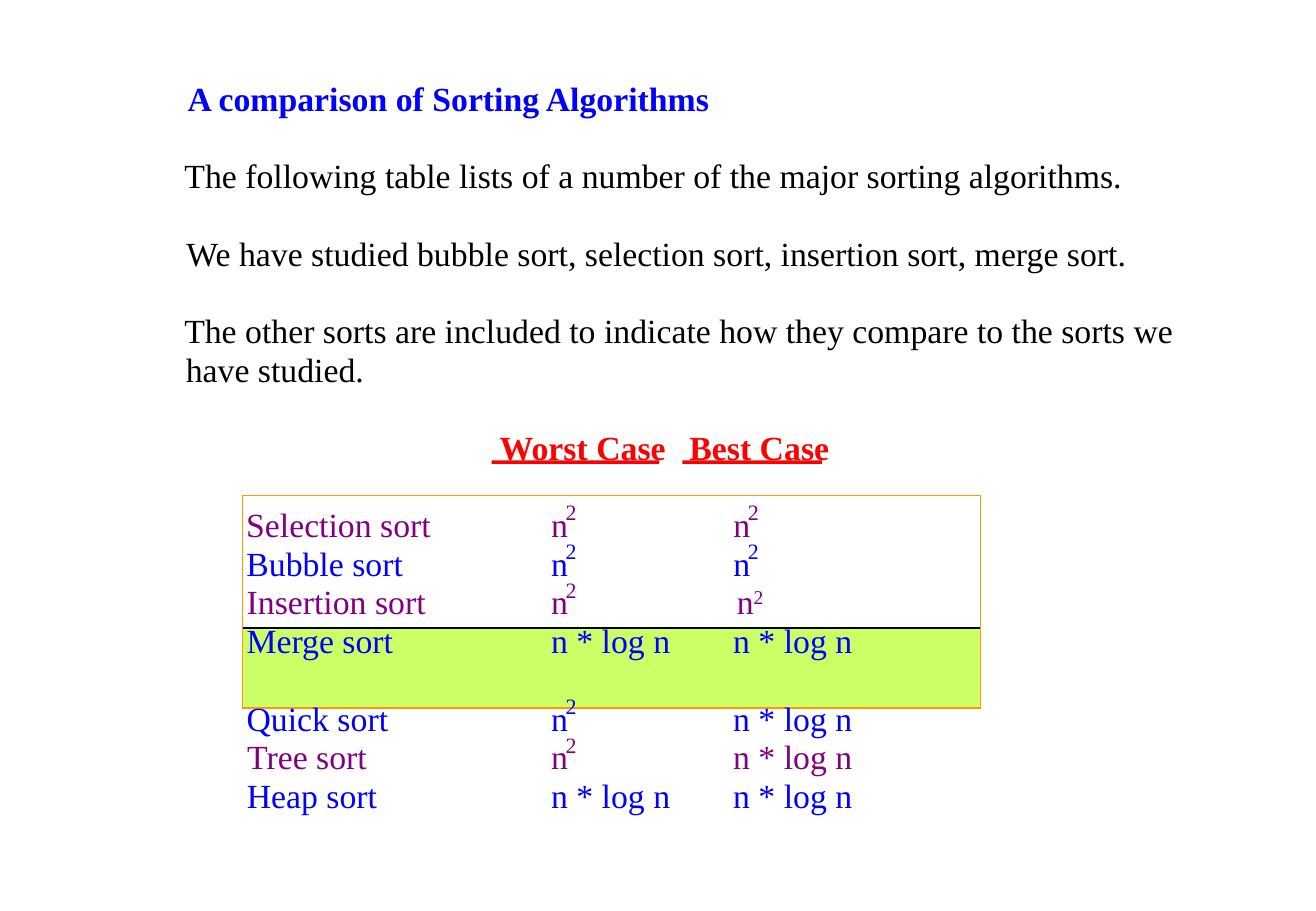
from pptx import Presentation
from pptx.dml.color import RGBColor
from pptx.enum.shapes import MSO_SHAPE
from pptx.enum.text import MSO_AUTO_SIZE, PP_ALIGN
from pptx.util import Inches, Pt

BLUE = RGBColor(0x00, 0x00, 0xFF)
PURPLE = RGBColor(0x80, 0x00, 0x80)
RED = RGBColor(0xFF, 0x00, 0x00)
BLACK = RGBColor(0x00, 0x00, 0x00)
ORANGE = RGBColor(0xFF, 0x99, 0x00)
LIME = RGBColor(0xCC, 0xFF, 0x66)

# Grid in inches: text lines share one pitch, the comparison has three columns
FIRST_LINE = 0.64
PITCH = (6.38 - FIRST_LINE) / 18
LINE_HEIGHT = 0.33
SIDE_ROOM = 0.02  # spare width on each side keeps a label on one line
INTRO_LEFT = 1.52
NAME_LEFT, WORST_LEFT, BEST_LEFT = 2.03, 4.54, 6.04
FRAME_LEFT, FRAME_WIDTH = 2, 6.08

LOG = "n * log n"
SQUARE = "n"
SQUARE_INLINE = "n²"
EXPONENT_SHIFT, EXPONENT_RISE = 0.12, 0.04
INLINE_SHIFT = 0.03

# line, left, width, text, colour, bold
INTRO = [
    (0, INTRO_LEFT + 0.01, 4.33, "A comparison of Sorting Algorithms", BLUE, True),
    (2, INTRO_LEFT, 7.73,
     "The following table lists of a number of the major sorting algorithms.", BLACK, False),
    (4, INTRO_LEFT, 7.78,
     "We have studied bubble sort, selection sort, insertion sort, merge sort.", BLACK, False),
    (6, INTRO_LEFT, 8.22,
     "The other sorts are included to indicate how they compare to the sorts we ", BLACK, False),
    (7, INTRO_LEFT + 0.01, 1.47, "have studied.", BLACK, False),
]

# left, width, text
HEADINGS = [(4.11, 1.38, "Worst Case"), (5.68, 1.15, "Best Case")]
HEADING_LINE = 9

# line, name, width of name, worst case, best case, colour
SORTS = [
    (11, "Selection sort", 1.52, SQUARE, SQUARE, PURPLE),
    (12, "Bubble sort", 1.29, SQUARE, SQUARE, BLUE),
    (13, "Insertion sort", 1.48, SQUARE, SQUARE_INLINE, PURPLE),
    (14, "Merge sort", 1.21, LOG, LOG, BLUE),
    (16, "Quick sort", 1.17, SQUARE, LOG, BLUE),
    (17, "Tree sort", 1.0, SQUARE, LOG, PURPLE),
    (18, "Heap sort", 1.08, LOG, LOG, BLUE),
]


def line_top(line):
    return FIRST_LINE + line * PITCH


def add_label(slide, left, top, width, text, color, size=20, bold=False, height=LINE_HEIGHT):
    """Add one unwrapped line of text and return its paragraph."""
    box = slide.shapes.add_textbox(
        *map(Inches, (left - SIDE_ROOM, top, width + 2 * SIDE_ROOM, height)))
    frame_format = {
        "margin_left": 0, "margin_top": 0, "margin_right": 0, "margin_bottom": 0,
        "word_wrap": False, "auto_size": MSO_AUTO_SIZE.NONE,
    }
    for attribute, value in frame_format.items():
        setattr(box.text_frame, attribute, value)
    paragraph = box.text_frame.paragraphs[0]
    paragraph.alignment = PP_ALIGN.CENTER
    add_run(paragraph, text, color, size, bold)
    return paragraph


def add_run(paragraph, text, color, size=20, bold=False):
    run = paragraph.add_run()
    run.text = text
    font_format = {"name": "Times New Roman", "size": Pt(size), "bold": bold}
    for attribute, value in font_format.items():
        setattr(run.font, attribute, value)
    run.font.color.rgb = color
    return run


def add_box(slide, left, top, width, height, fill=None, outline=None):
    box = slide.shapes.add_shape(
        MSO_SHAPE.RECTANGLE, *map(Inches, (left, top, width, height)))
    box.shadow.inherit = False
    if fill is None:
        box.fill.background()
    else:
        box.fill.solid()
        box.fill.fore_color.rgb = fill
    if outline is None:
        box.line.fill.background()
    else:
        box.line.color.rgb = outline
        box.line.width = Pt(0.75)


def add_complexity(slide, left, line, growth, color):
    """Add a growth rate, with its exponent raised beside or within the text."""
    top = line_top(line)
    if growth == LOG:
        add_label(slide, left, top, 0.98, LOG, color)
    elif growth == SQUARE_INLINE:
        paragraph = add_label(slide, left + INLINE_SHIFT, top, 0.22, "n", color)
        exponent = add_run(paragraph, "2", color)
        exponent.font._element.set("baseline", "30000")
    else:
        add_label(slide, left, top, 0.14, "n", color)
        add_label(slide, left + EXPONENT_SHIFT, top - EXPONENT_RISE, 0.09,
                  "2", color, size=13, height=0.22)


def main():
    presentation = Presentation()
    presentation.slide_width, presentation.slide_height = Inches(10.84), Inches(7.5)
    slide = presentation.slides.add_slide(presentation.slide_layouts[6])

    add_box(slide, FRAME_LEFT, 5.17, FRAME_WIDTH, 0.66, fill=LIME, outline=BLACK)
    add_box(slide, FRAME_LEFT, 4.08, FRAME_WIDTH, 1.75, outline=ORANGE)

    for line, left, width, text, color, bold in INTRO:
        add_label(slide, left, line_top(line), width, text, color, bold=bold)

    for left, width, text in HEADINGS:
        add_label(slide, left, line_top(HEADING_LINE), width, text, RED, bold=True)
        add_box(slide, left - 0.06, line_top(HEADING_LINE) + 0.28, width, 0.03, fill=RED)

    for line, name, width, worst, best, color in SORTS:
        add_label(slide, NAME_LEFT, line_top(line), width, name, color)
        add_complexity(slide, WORST_LEFT, line, worst, color)
        add_complexity(slide, BEST_LEFT, line, best, color)

    presentation.save("out.pptx")


if __name__ == "__main__":
    main()
